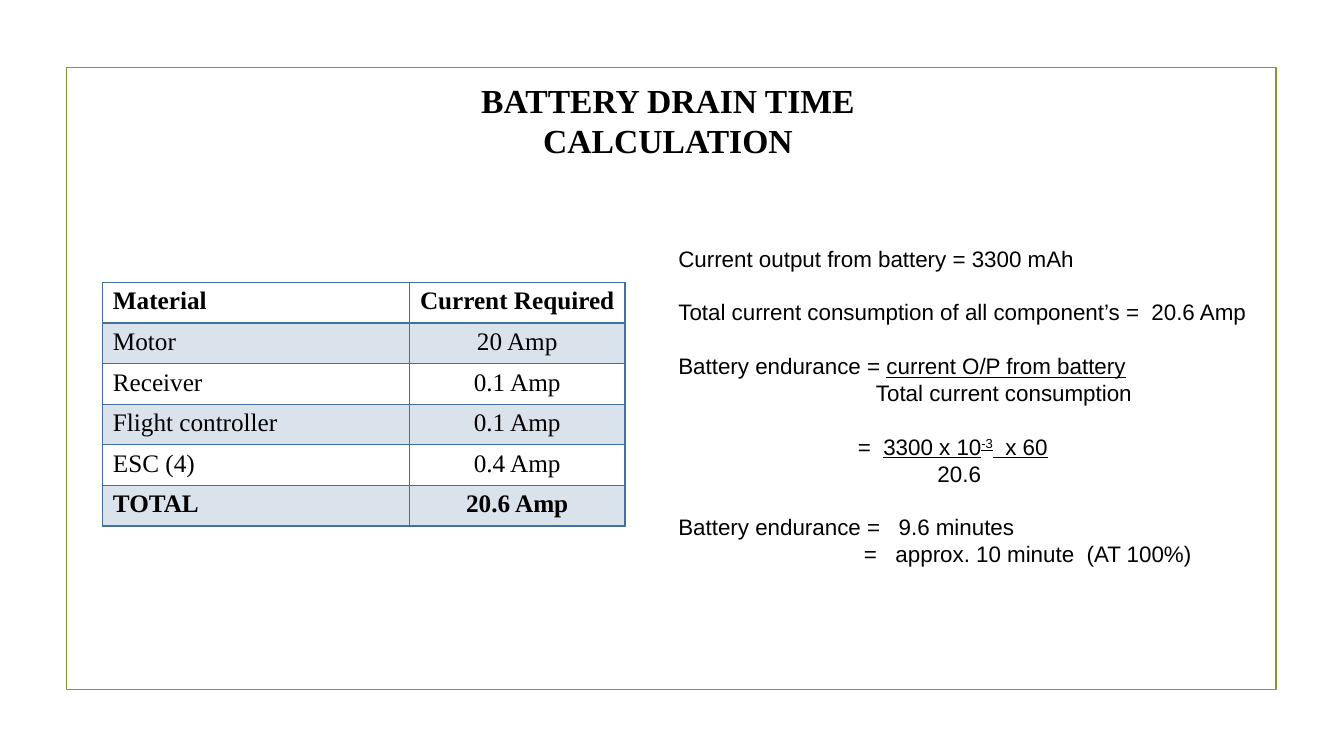
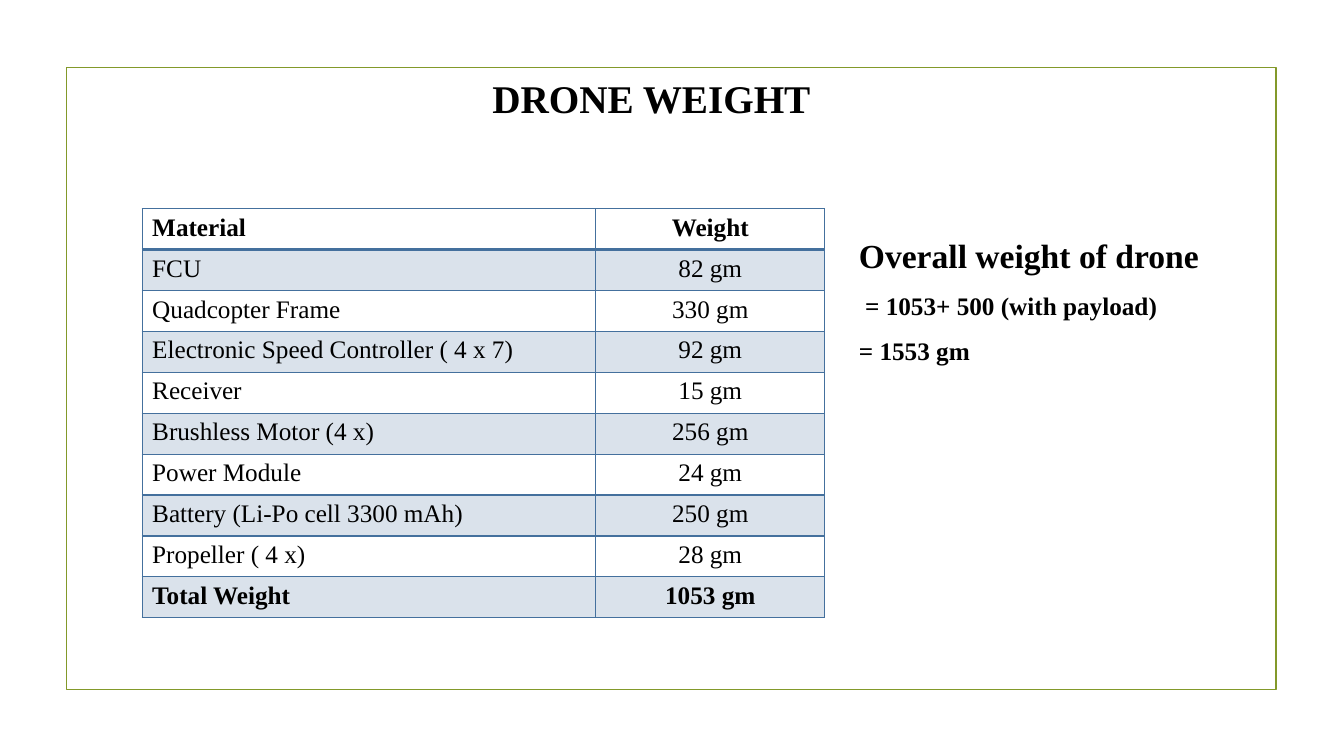
from dataclasses import dataclass

from lxml import etree
from pptx import Presentation
from pptx.dml.color import RGBColor
from pptx.enum import shapes, text
from pptx.oxml import ns
from pptx.util import Inches, Pt

COLORS = {
    "frame": "83992A",
    "ink": "000000",
    "border": "44709D",
    "band": "DAE2EB",
    "paper": "FFFFFF",
}
SERIF = "Times New Roman"
SANS = "Arial"
CENTER = text.PP_ALIGN.CENTER
LEFT = text.PP_ALIGN.LEFT


def color(name):
    return RGBColor.from_string(COLORS[name])


@dataclass
class Line:
    """One paragraph: (words, marks) pieces, where marks may hold u (underline) and ^ (superscript)."""
    pieces: list
    size: float = 16
    indent: float = 0
    before: float = 0


class Deck:
    def __init__(self):
        self.prs = Presentation()
        self.prs.slide_width, self.prs.slide_height = Inches(13.33), Inches(7.5)
        self.slide = None

    def new_slide(self):
        """Start a blank slide inside the green frame."""
        self.slide = self.prs.slides.add_slide(self.prs.slide_layouts[6])
        frame = self.slide.shapes.add_shape(
            shapes.MSO_SHAPE.RECTANGLE, *map(Inches, (0.66, 0.67, 12, 6.17)))
        frame.shadow.inherit = False
        frame.fill.background()
        frame.line.color.rgb = color("frame")
        frame.line.width = Pt(1.25)

    def style(self, run, size, font=SERIF, bold=False):
        run.font.name = font
        run.font.size = Pt(size)
        run.font.bold = bold
        run.font.color.rgb = color("ink")

    def text(self, box, lines, font=SERIF, bold=True, align=LEFT, spacing=None):
        frame = self.slide.shapes.add_textbox(*map(Inches, box)).text_frame
        frame.word_wrap = True
        for index, line in enumerate(lines):
            para = frame.add_paragraph() if index else frame.paragraphs[0]
            para.alignment = align
            para.line_spacing = spacing
            para.space_before = Pt(line.before)
            if line.indent:
                para._p.get_or_add_pPr().set("marL", str(Inches(line.indent)))
            for words, marks in line.pieces:
                run = para.add_run()
                run.text = words
                self.style(run, line.size, font, bold)
                run.font.underline = "u" in marks
                if "^" in marks:
                    run.font._element.set("baseline", "30000")

    def title(self, box, words, size):
        self.text(box, [Line([(words, "")], size)], align=CENTER)

    def borders(self, cell, heavy_sides):
        """Draw all four cell edges; heavy_sides get the double width."""
        props = cell._tc.get_or_add_tcPr()
        for index, side in enumerate("LRTB"):
            edge = etree.Element(ns.qn(f"a:ln{side}"))
            edge.set("w", str(Pt(2 if side in heavy_sides else 1)))
            fill = etree.SubElement(edge, ns.qn("a:solidFill"))
            etree.SubElement(fill, ns.qn("a:srgbClr")).set("val", COLORS["border"])
            props.insert(index, edge)

    def table(self, left, top, widths, height, rows):
        """Banded table whose first and last rows are bold."""
        grid = self.slide.shapes.add_table(
            len(rows), len(widths), *map(Inches, (left, top, sum(widths), height))).table
        for column, width in zip(grid.columns, widths):
            column.width = Inches(width)
        for r, row in enumerate(rows):
            for c, words in enumerate(row):
                cell = grid.cell(r, c)
                cell.fill.solid()
                cell.fill.fore_color.rgb = color("band" if r % 2 else "paper")
                self.borders(cell, {0: "B", 1: "T"}.get(r, ""))
                para = cell.text_frame.paragraphs[0]
                para.text = words
                para.alignment = CENTER if c else LEFT
                self.style(para.runs[0], 18, bold=r in (0, len(rows) - 1))


def battery_slide(deck):
    deck.new_slide()
    deck.title((3.49, 0.74, 6.27, 0.91), "BATTERY DRAIN TIME CALCULATION", 24)
    deck.table(1.02, 2.8, (3.04, 2.14), 2.42, [
        ("Material", "Current Required"),
        ("Motor", "20 Amp"),
        ("Receiver", "0.1 Amp"),
        ("Flight controller", "0.1 Amp"),
        ("ESC (4)", "0.4 Amp"),
        ("TOTAL", "20.6 Amp"),
    ])
    pitch = 19.2
    deck.text((6.63, 2.38, 6.1, 3.33), [
        Line([("Current output from battery = 3300 mAh", "")]),
        Line([("Total current consumption of all component’s =  20.6 Amp", "")], before=pitch),
        Line([("Battery endurance = ", ""), ("current O/P from battery", "u")], before=pitch),
        Line([("Total current consumption", "")], indent=1.96),
        Line([("=  ", ""), ("3300 x 10", "u"), ("-3", "u^"), ("  x 60", "u")],
             indent=1.78, before=pitch),
        Line([("20.6", "")], indent=2.57),
        Line([("Battery endurance =   9.6 minutes", "")], before=pitch),
        Line([("=   approx. 10 minute  (AT 100%)", "")], indent=1.84),
    ], font=SANS, bold=False, spacing=Pt(pitch))


def weight_slide(deck):
    deck.new_slide()
    deck.title((4.42, 0.69, 4.08, 0.57), "DRONE WEIGHT", 28)
    deck.table(1.41, 2.07, (4.5, 2.27), 4.06, [
        ("Material", "Weight"),
        ("FCU", "82 gm"),
        ("Quadcopter Frame", "330 gm"),
        ("Electronic Speed Controller ( 4 x 7)", "92 gm"),
        ("Receiver", "15 gm"),
        ("Brushless Motor (4 x)", "256 gm"),
        ("Power Module", "24 gm"),
        ("Battery (Li-Po cell 3300 mAh)", "250 gm"),
        ("Propeller ( 4 x)", "28 gm"),
        ("Total Weight", "1053 gm"),
    ])
    deck.text((8.42, 2.08, 3.81, 1.62), [
        Line([("Overall weight of drone", "")], 24),
        Line([(" = 1053+ 500 (with payload)", "")], 18),
        Line([("= 1553 gm", "")], 18),
    ], spacing=1.5)


def main():
    deck = Deck()
    battery_slide(deck)
    weight_slide(deck)
    deck.prs.save("out.pptx")


if __name__ == "__main__":
    main()
